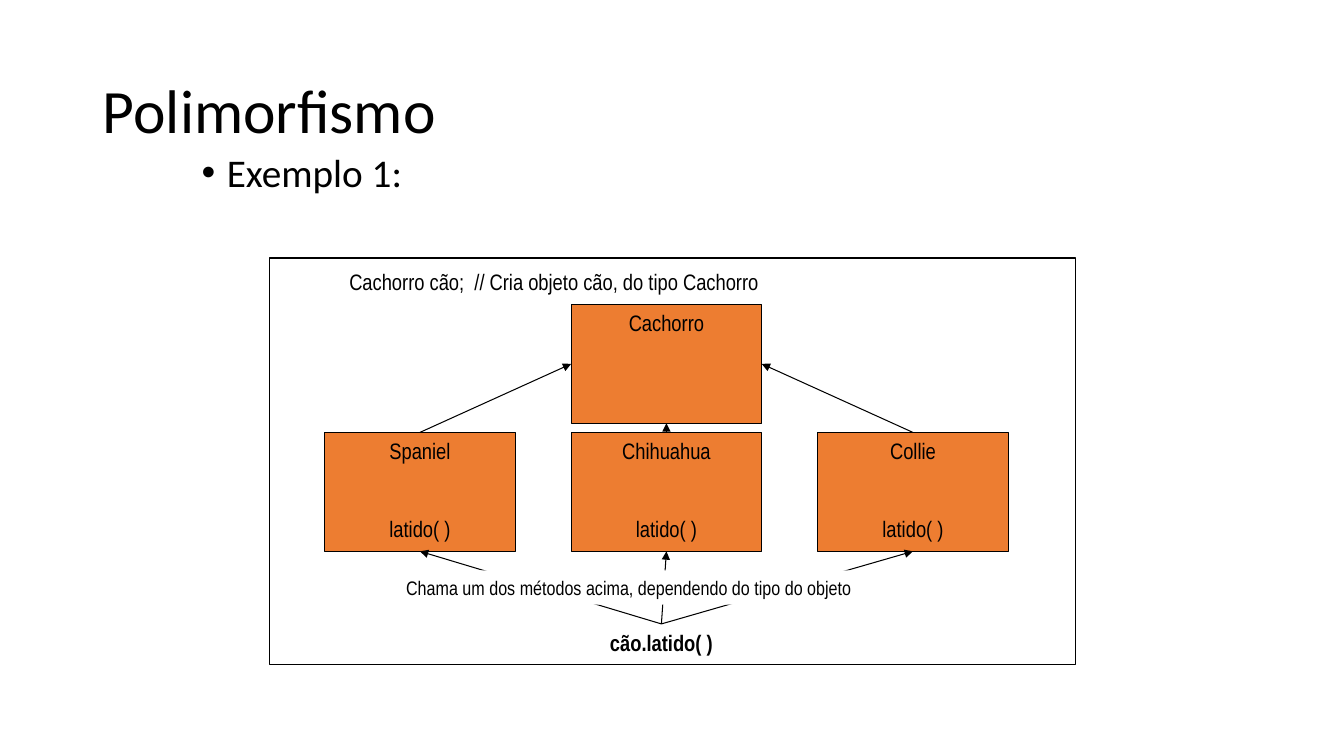
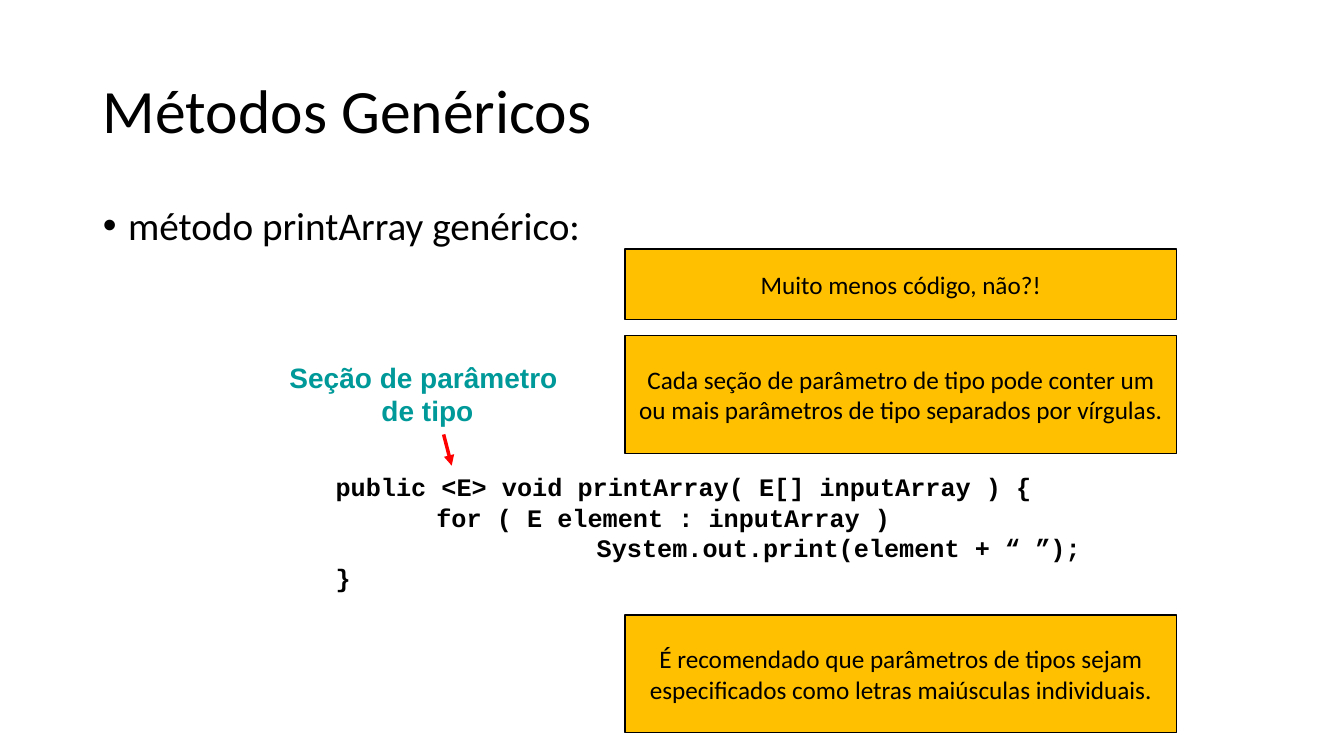
from lxml.etree import SubElement
from pptx import Presentation
from pptx.dml.color import RGBColor
from pptx.enum.shapes import MSO_CONNECTOR, MSO_SHAPE
from pptx.enum.text import MSO_ANCHOR, MSO_AUTO_SIZE, PP_ALIGN
from pptx.oxml.ns import qn
from pptx.util import Inches, Pt

COLORS = {
    "text": "000000",
    "paper": "FFFFFF",
    "class": "ED7D31",
    "note": "FFC000",
    "label": "009999",
    "pointer": "FF0000",
}
TITLE_BOX = (0.92, 0.4, 11.5, 1.45)
TOP, LEFT, BOTTOM, RIGHT = range(4)


def rgb(name):
    """Return the named palette colour."""
    return RGBColor.from_string(COLORS[name])


def write(sp, lines, font, size, color="text", bold=False,
          align=PP_ALIGN.CENTER, anchor=MSO_ANCHOR.TOP, wrap=True):
    """Fill a shape with one paragraph per line and return its paragraphs."""
    tf = sp.text_frame
    tf.word_wrap = wrap
    tf.auto_size = MSO_AUTO_SIZE.NONE
    tf.vertical_anchor = anchor
    tf.text = "\n".join(lines)
    for p in tf.paragraphs:
        p.alignment = align
        p.font.name = font
        p.font.size = Pt(size)
        p.font.bold = bold
        p.font.color.rgb = rgb(color)
    return tf.paragraphs


def add_box(s, box, fill=None, line=None):
    """Add a flat rectangle with an optional fill and black outline."""
    sp = s.shapes.add_shape(MSO_SHAPE.RECTANGLE, *map(Inches, box))
    sp.shadow.inherit = False
    if fill:
        sp.fill.solid()
        sp.fill.fore_color.rgb = rgb(fill)
    else:
        sp.fill.background()
    if line:
        sp.line.color.rgb = rgb("text")
        sp.line.width = Pt(line)
    else:
        sp.line.fill.background()
    return sp


def add_label(s, box, lines, font, size, **style):
    """Add a text box and return its paragraphs with the shape."""
    sp = s.shapes.add_textbox(*map(Inches, box))
    return sp, write(sp, lines, font, size, **style)


def add_arrow(s, start=(0, 0), end=(0, 0), color="text", width=0.75):
    """Add a straight arrow with a triangular head at its end."""
    cxn = s.shapes.add_connector(MSO_CONNECTOR.STRAIGHT, *map(Inches, start + end))
    cxn.line.color.rgb = rgb(color)
    cxn.line.width = Pt(width)
    sp_pr = cxn._element.spPr
    SubElement(sp_pr.find(qn("a:ln")), qn("a:tailEnd"), type="triangle")
    SubElement(sp_pr, qn("a:effectLst"))
    return cxn


def link(s, source, source_site, target, target_site):
    """Join two shapes with an arrow between connection sites."""
    cxn = add_arrow(s)
    cxn.begin_connect(source, source_site)
    cxn.end_connect(target, target_site)


def place(sp, box):
    """Move and size a placeholder."""
    sp.left, sp.top, sp.width, sp.height = map(Inches, box)


def add_slide(prs, title, bullet, body_box):
    """Add a slide with the shared title and bullet style."""
    s = prs.slides.add_slide(prs.slide_layouts[1])
    body = s.placeholders[1]
    place(s.shapes.title, TITLE_BOX)
    place(body, body_box)
    [p] = write(s.shapes.title, [title], "Calibri", 44,
                align=PP_ALIGN.LEFT, anchor=MSO_ANCHOR.MIDDLE)
    p.line_spacing = 0.9
    [p] = write(body, [bullet], "Calibri", 28, align=PP_ALIGN.LEFT)
    p.line_spacing = 0.9
    p.space_before = Pt(10)
    indent(p, 0.25, -0.25)
    return s


def indent(p, left, first=0):
    """Set a paragraph's left margin and first-line indent."""
    p_pr = p._p.get_or_add_pPr()
    p_pr.set("marL", str(Inches(left)))
    p_pr.set("indent", str(Inches(first)))


def add_class(s, box, lines):
    """Add a class box with its name and optional method."""
    sp = add_box(s, box, "class", 0.75)
    for p in write(sp, lines, "Arial Narrow", 16)[1:]:
        p.space_before = Pt(36)
    return sp


def class_diagram(s, box):
    """Draw the class hierarchy and the polymorphic call inside a frame."""
    x, y, w, h = box
    class_w, class_h, pitch = 1.89, 1.18, 2.445
    first_x, child_y = x + 0.55, y + 1.73
    add_box(s, box, line=0.75)
    parent = add_class(s, (first_x + pitch, y + 0.46, class_w, class_h), ["Cachorro"])
    children = [
        add_class(s, (first_x + i * pitch, child_y, class_w, class_h), [name, "latido( )"])
        for i, name in enumerate(("Spaniel", "Chihuahua", "Collie"))
    ]
    call, _ = add_label(s, (x + 2.89, y + 3.63, 2, 0.37), ["cão.latido( )"],
                        "Arial Narrow", 16, bold=True)
    for child, site in zip(children, (LEFT, BOTTOM, RIGHT)):
        link(s, child, TOP, parent, site)
        link(s, call, TOP, child, BOTTOM)
    caption = add_box(s, (x + 1.26, y + 3.1, 4.66, 0.34), "paper")
    write(caption, ["Chama um dos métodos acima, dependendo do tipo do objeto"],
          "Arial Narrow", 14, align=PP_ALIGN.LEFT, wrap=False)
    add_label(s, (x - 0.23, y + 0.05, 6.11, 0.37),
              ["Cachorro cão;  // Cria objeto cão, do tipo Cachorro"], "Arial Narrow", 16)


def code_block(s, box):
    """Add the generic method with its type parameter pointer."""
    x, y, w, h = box
    lines = [
        "public <E> void printArray( E[] inputArray ) {",
        "for ( E element : inputArray )",
        "System.out.print(element + “ ”);",
        "}",
    ]
    _, code = add_label(s, box, lines, "Courier New", 18, bold=True, align=PP_ALIGN.LEFT)
    for p, left in zip(code, (0, 1, 2.59, 0)):
        indent(p, left)
    add_label(s, (x - 0.47, y - 1.11, 2.96, 0.77), ["Seção de parâmetro ", "de tipo"],
              "Arial", 20, color="label", bold=True, anchor=MSO_ANCHOR.MIDDLE, wrap=False)
    add_arrow(s, (x + 1.17, y - 0.32), (x + 1.25, y - 0.01), "pointer", 2.5)


def add_note(s, box, text):
    """Add a yellow remark box."""
    sp = add_box(s, box, "note", 1)
    write(sp, [text], "Calibri", 18, anchor=MSO_ANCHOR.MIDDLE)


def polymorphism_slide(prs):
    """Build the polymorphism example."""
    s = add_slide(prs, "Polimorfismo", "Exemplo 1:", (1.9, 1.47, 8.31, 0.71))
    class_diagram(s, (2.67, 2.56, 8, 4.03))


def generics_slide(prs):
    """Build the generic method example with its remarks."""
    s = add_slide(prs, "Métodos Genéricos", "método printArray genérico:",
                  (0.92, 2, 11.5, 4.76))
    code_block(s, (3.23, 4.63, 7.73, 1.31))
    notes = [
        (2.47, 0.7, "Muito menos código, não?!"),
        (3.33, 1.17, "Cada seção de parâmetro de tipo pode conter um ou mais "
                     "parâmetros de tipo separados por vírgulas."),
        (6.1, 1.17, "É recomendado que parâmetros de tipos sejam especificados "
                    "como letras maiúsculas individuais."),
    ]
    for y, h, text in notes:
        add_note(s, (6.2, y, 5.47, h), text)


prs = Presentation()
prs.slide_width, prs.slide_height = Inches(13.33), Inches(7.5)
polymorphism_slide(prs)
generics_slide(prs)
prs.save("out.pptx")
